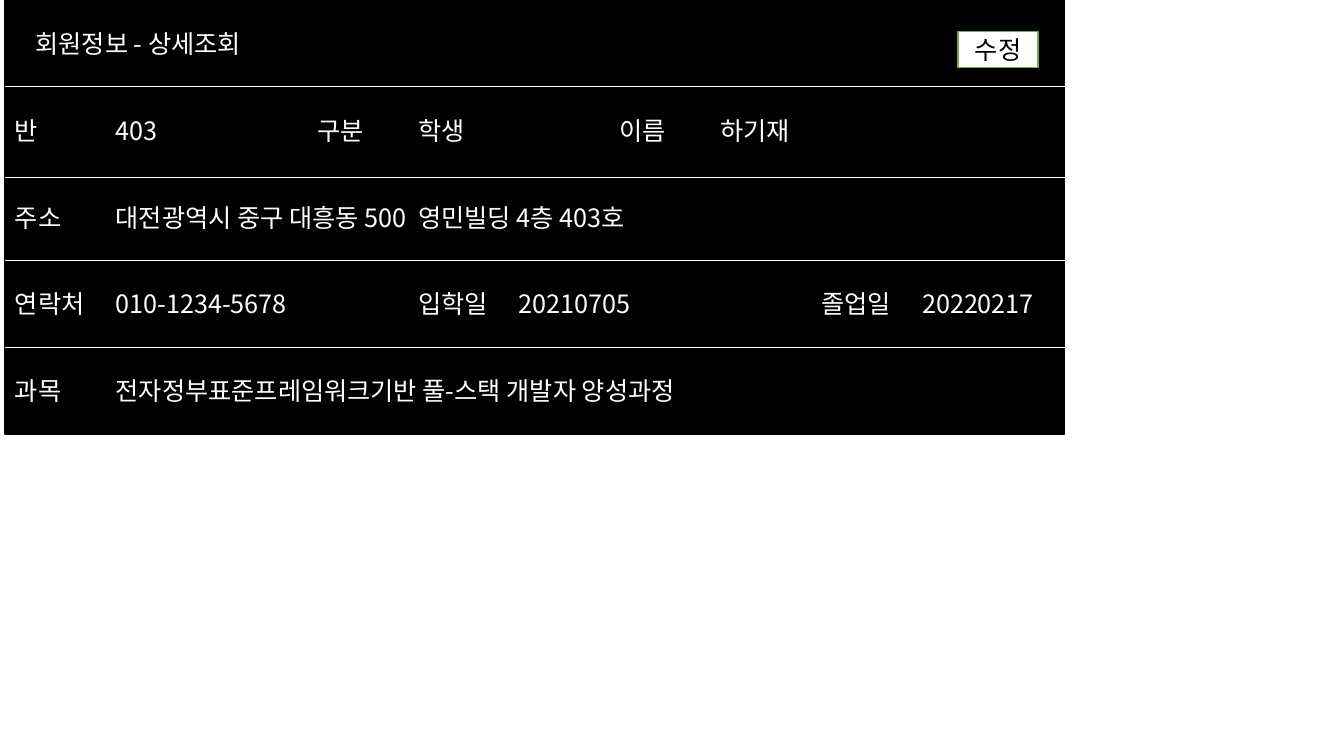
from pptx import Presentation
from pptx.dml.color import RGBColor
from pptx.enum.shapes import MSO_CONNECTOR, MSO_SHAPE
from pptx.enum.text import MSO_ANCHOR, PP_ALIGN
from pptx.oxml.ns import qn
from pptx.util import Pt
from lxml.etree import SubElement

# Content: the first row is the title, the others have tab-separated fields
ROWS = [
    "회원정보 - 상세조회",
    "반\t403\t\t구분\t학생\t\t이름\t하기재",
    "주소\t대전광역시 중구 대흥동 500\t영민빌딩 4층 403호",
    "연락처\t010-1234-5678\t\t입학일\t20210705\t\t졸업일\t20220217",
    "과목\t전자정부표준프레임워크기반 풀-스택 개발자 양성과정",
]
BUTTON = "수정"

# Style
FONT = "Noto Sans CJK KR"
BLACK = RGBColor(0x00, 0x00, 0x00)
WHITE = RGBColor(0xFF, 0xFF, 0xFF)
GREEN = RGBColor(0x70, 0xAD, 0x47)

# Layout in points
LEFT, WIDTH, ROW_H = 3.6, 756.8, 62
INSET, TITLE_INSET = 7.2, 21.8
TAB_STEP = 72
BUTTON_BOX = (684.4, 22.5, 57, 25.9)
DIVIDER_SHIFT = {2: 2.9}  # the second divider sits slightly below its row edge

prs = Presentation()
prs.slide_width, prs.slide_height = Pt(960), Pt(540)
s = prs.slides.add_slide(prs.slide_layouts[6])


def add_box(box, text, fill, line, color, align=PP_ALIGN.LEFT, inset=INSET):
    sp = s.shapes.add_shape(MSO_SHAPE.RECTANGLE, *map(Pt, box))
    sp.shadow.inherit = False
    sp.fill.solid()
    sp.fill.fore_color.rgb = fill
    sp.line.color.rgb = line
    sp.line.width = Pt(1)
    tf = sp.text_frame
    tf.word_wrap = True
    tf.vertical_anchor = MSO_ANCHOR.MIDDLE
    tf.margin_left = Pt(inset)
    p = tf.paragraphs[0]
    p.alignment = align
    p._p.get_or_add_pPr().set("defTabSz", str(int(Pt(TAB_STEP))))
    r = p.add_run()
    r.text = text
    r.font.size = Pt(18)
    r.font.name = FONT
    r.font.color.rgb = color
    SubElement(r.font._element, qn("a:ea")).set("typeface", FONT)


# Rows
for i, text in enumerate(ROWS):
    add_box((LEFT, i * ROW_H, WIDTH, ROW_H), text, BLACK, BLACK, WHITE,
            inset=INSET if i else TITLE_INSET)

# Edit button
add_box(BUTTON_BOX, BUTTON, WHITE, GREEN, BLACK, PP_ALIGN.CENTER)

# Dividers between rows
for i in range(1, len(ROWS)):
    y = Pt(i * ROW_H + DIVIDER_SHIFT.get(i, 0))
    divider = s.shapes.add_connector(
        MSO_CONNECTOR.STRAIGHT, Pt(LEFT + WIDTH), y, Pt(LEFT), y)
    divider.line.color.rgb = WHITE
    divider.line.width = Pt(0.5)
    SubElement(divider._element.spPr, qn("a:effectLst"))

prs.save("out.pptx")
